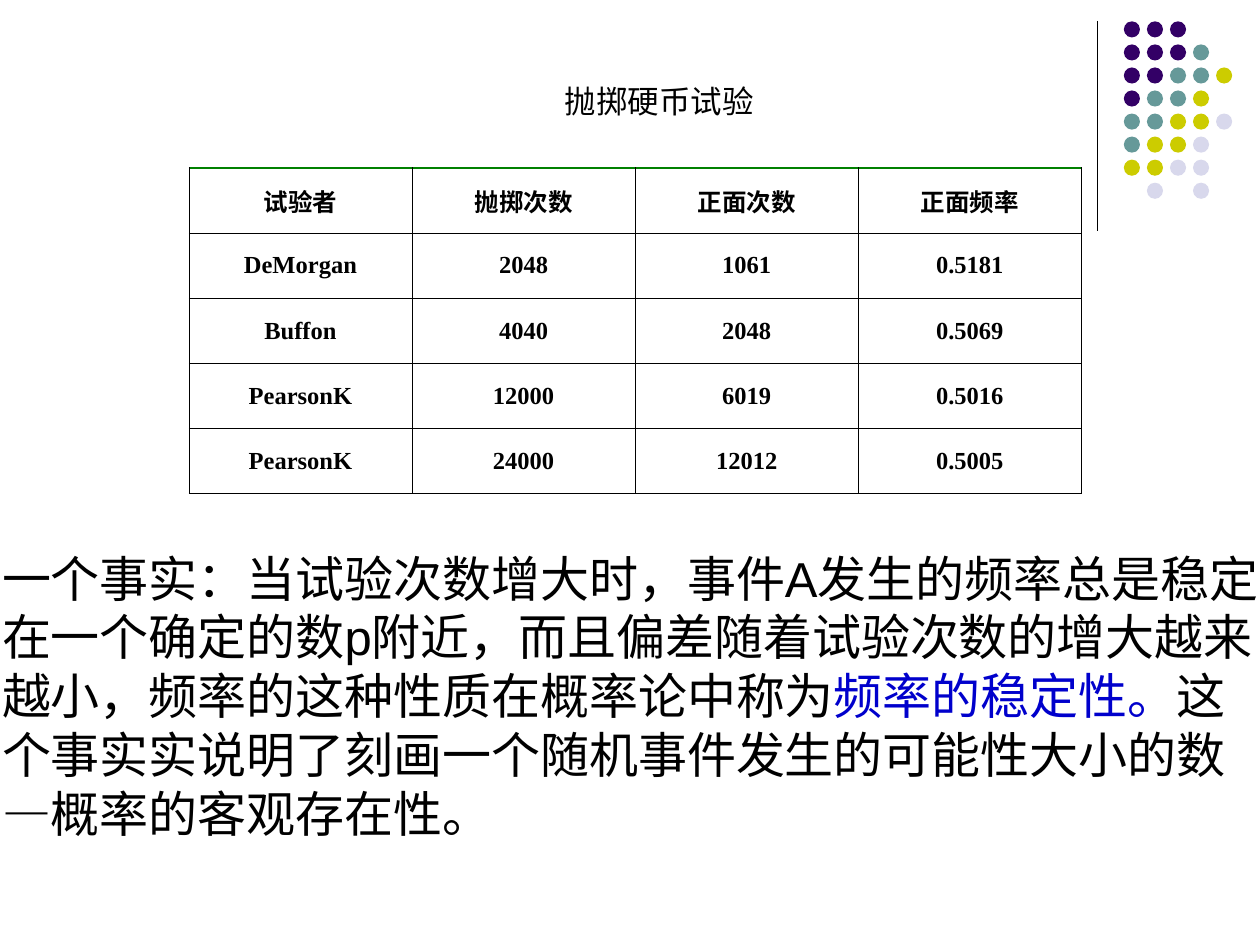
import pptx
import pptx.dml.color
import pptx.enum.shapes
import pptx.enum.text
import pptx.oxml
import pptx.oxml.ns
import pptx.util
import lxml.etree

Pt = pptx.util.Pt
qn = pptx.oxml.ns.qn
ALIGN = pptx.enum.text.PP_ALIGN
ANCHOR = pptx.enum.text.MSO_ANCHOR

HUES = {
    "ink": "000000",
    "blue": "0000CC",
    "green": "008000",
    "P": "330066",
    "T": "669999",
    "Y": "CCCC00",
    "L": "D8D8EC",
}

# One letter per dot, keyed to HUES; a space leaves a gap
DOTS = ["PPP", "PPPT", "PPTTY", "PTTY", "TTYYL", "TYYL", "YYLL", " L L"]

ROWS = [
    ("试验者", "抛掷次数", "正面次数", "正面频率"),
    ("DeMorgan", "2048", "1061", "0.5181"),
    ("Buffon", "4040", "2048", "0.5069"),
    ("PearsonK", "12000", "6019", "0.5016"),
    ("PearsonK", "24000", "12012", "0.5005"),
]

FACT = [
    ("一个事实：当试验次数增大时，事件A发生的频率总是稳定在一个确定的数p附近，"
     "而且偏差随着试验次数的增大越来越小，频率的这种性质在概率论中称为", "ink"),
    ("频率的稳定性。", "blue"),
    ("这个事实实说明了刻画一个随机事件发生的可能性大小的数—概率的客观存在性。", "ink"),
]


def color(name):
    return pptx.dml.color.RGBColor.from_string(HUES[name])


def write(frame, runs, size=18, face="Arial", bold=False, align=ALIGN.LEFT):
    """Fill the first paragraph with (text, hue) runs."""
    para = frame.paragraphs[0]
    para.alignment = align
    para.space_before = Pt(0)
    for text, hue in runs:
        run = para.add_run()
        run.text = text
        run.font.size = Pt(size)
        run.font.name = face
        run.font.bold = bold
        run.font.color.rgb = color(hue)
    return para


def place(holder, left, top, width, height):
    """Move a placeholder and return its plain text frame."""
    holder.left, holder.top = Pt(left), Pt(top)
    holder.width, holder.height = Pt(width), Pt(height)
    frame = holder.text_frame
    frame.auto_size = pptx.enum.text.MSO_AUTO_SIZE.NONE
    frame.word_wrap = True
    frame.vertical_anchor = ANCHOR.TOP
    return frame


def rule(slide, x, top, end):
    line = slide.shapes.add_connector(
        pptx.enum.shapes.MSO_CONNECTOR.STRAIGHT, Pt(x), Pt(top), Pt(x), Pt(end))
    line.line.color.rgb = color("ink")
    line.line.width = Pt(0.75)
    lxml.etree.SubElement(line._element.spPr, qn("a:effectLst"))


def dots(slide, left, top, pitch=13.17, size=9.2):
    group = slide.shapes.add_group_shape()
    for row, marks in enumerate(DOTS):
        for col, hue in enumerate(marks):
            if hue == " ":
                continue
            dot = group.shapes.add_shape(
                pptx.enum.shapes.MSO_SHAPE.OVAL,
                Pt(left + col * pitch), Pt(top + row * pitch), Pt(size), Pt(size))
            dot.shadow.inherit = False
            dot.fill.solid()
            dot.fill.fore_color.rgb = color(hue)
            dot.line.fill.background()


def edge(cell, top):
    """Draw the four cell borders; top is a (hue, width) pair."""
    thin = ("ink", 0.34)
    sides = {"lnL": thin, "lnR": thin, "lnT": top, "lnB": thin}
    props = cell._tc.get_or_add_tcPr()
    for spot, (tag, (hue, width)) in enumerate(sides.items()):
        line = lxml.etree.Element(qn("a:" + tag), w=str(int(Pt(width))))
        fill = lxml.etree.SubElement(line, qn("a:solidFill"))
        lxml.etree.SubElement(fill, qn("a:srgbClr"), val=HUES[hue])
        props.insert(spot, line)


def grid(slide, left, top, width, height):
    table = slide.shapes.add_table(
        len(ROWS), len(ROWS[0]), Pt(left), Pt(top), Pt(width), Pt(height)).table
    table.first_row = table.horz_banding = False
    for row, texts in enumerate(ROWS):
        for col, text in enumerate(texts):
            cell = table.cell(row, col)
            cell.fill.background()
            cell.vertical_anchor = ANCHOR.MIDDLE
            write(cell.text_frame, [(text, "ink")], size=14,
                  face="Times New Roman", bold=True, align=ALIGN.CENTER)
            edge(cell, ("ink", 0.34) if row else ("green", 0.96))


def main():
    deck = pptx.Presentation()
    deck.slide_width, deck.slide_height = Pt(720), Pt(540)
    slide = deck.slides.add_slide(deck.slide_layouts[1])
    title, body = slide.placeholders

    # Corner ornament
    rule(slide, 627, 12, 132)
    dots(slide, 642.2, 12.2)

    # Coin toss results
    grid(slide, 108, 96, 510, 186)

    # Heading and statement
    write(place(title, 315.5, 43.2, 130, 28.8), [("抛掷硬币试验", "ink")])
    para = write(place(body, -6, 309.6, 738, 175.7), FACT, size=28)

    # No bullet or indent, and no punctuation hung past the margin
    props = para._p.get_or_add_pPr()
    for name in ("marL", "indent", "hangingPunct"):
        props.set(name, "0")
    lxml.etree.SubElement(props, qn("a:buNone"))

    deck.save("out.pptx")


if __name__ == "__main__":
    main()
